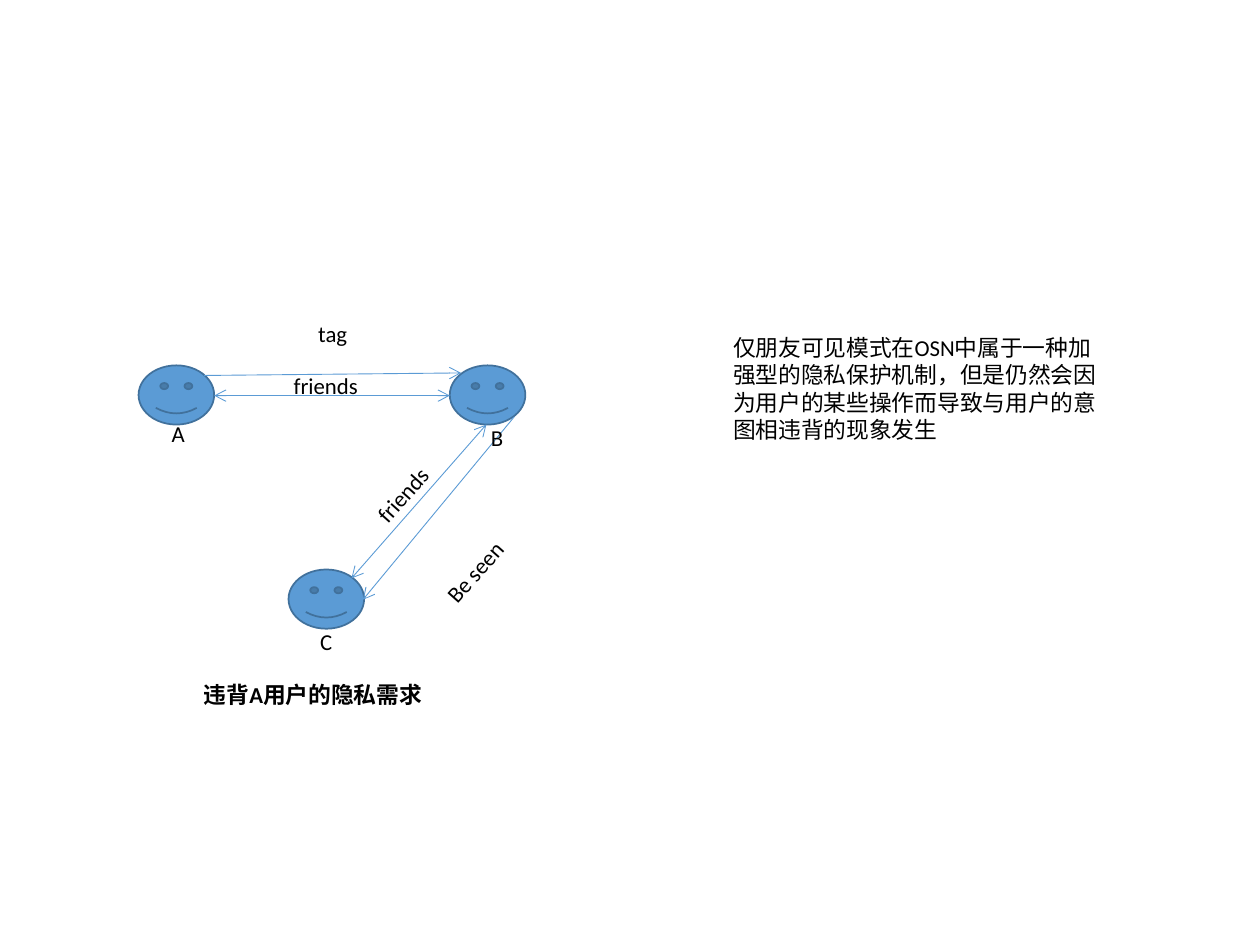
"""Build the slide on how tagging breaks the privacy wish of user A."""
from typing import NamedTuple

import pptx
import pptx.dml.color
import pptx.enum.shapes
import pptx.enum.text
import pptx.oxml.ns
import pptx.util
from lxml import etree
from pptx.util import Inches

BLUE, EDGE, BLACK = "5B9BD5", "41719C", "000000"


class Face(NamedTuple):
    left: float
    top: float


class Link(NamedTuple):
    start: tuple[float, float]
    end: tuple[float, float]
    mutual: bool = False


class Label(NamedTuple):
    text: str
    left: float
    top: float
    width: float
    height: float = 0.32
    turn: float = 0
    center: bool = False
    bold: bool = False


FACES = [Face(1.1, 2.9), Face(3.57, 2.9), Face(2.29, 4.52)]

LINKS = [
    Link((1.7, 3.14), (3.57, 3.14), mutual=True),
    Link((1.62, 2.98), (3.66, 2.96)),
    Link((3.86, 3.37), (2.79, 4.59), mutual=True),
    Link((4.08, 3.31), (2.88, 4.76)),
]

LABELS = [
    Label("friends", 2.16, 2.9, 0.85, center=True),
    Label("friends", 2.8, 3.67, 0.96, turn=311.7),
    Label("tag", 2.13, 2.49, 1.02, center=True),
    Label("A", 1.13, 3.28, 0.57, center=True),
    Label("B", 3.59, 3.31, 0.71, center=True),
    Label("C", 2.16, 4.93, 0.86, center=True),
    Label("Be seen", 3.34, 4.28, 1.03, turn=311.6),
    Label("违背A用户的隐私需求", 1.52, 5.35, 2.35, bold=True),
    Label(
        "仅朋友可见模式在OSN中属于一种加强型的隐私保护机制，"
        "但是仍然会因为用户的某些操作而导致与用户的意图相违背的现象发生",
        5.72, 2.6, 3.21, 0.97,
    ),
]


def color(code: str) -> pptx.dml.color.RGBColor:
    return pptx.dml.color.RGBColor.from_string(code)


def draw_face(shapes, face: Face) -> None:
    shape = shapes.add_shape(
        pptx.enum.shapes.MSO_SHAPE.SMILEY_FACE,
        Inches(face.left), Inches(face.top), Inches(0.6), Inches(0.47),
    )
    shape.shadow.inherit = False
    shape.fill.solid()
    shape.fill.fore_color.rgb = color(BLUE)
    shape.line.color.rgb = color(EDGE)
    shape.line.width = pptx.util.Pt(1)


def draw_link(shapes, link: Link) -> None:
    line = shapes.add_connector(
        pptx.enum.shapes.MSO_CONNECTOR.STRAIGHT,
        *map(Inches, link.start + link.end),
    )
    line.line.color.rgb = color(BLUE)
    line.line.width = pptx.util.Pt(0.5)
    stroke = line.line._get_or_add_ln()
    for end in ("a:headEnd", "a:tailEnd") if link.mutual else ("a:tailEnd",):
        etree.SubElement(stroke, pptx.oxml.ns.qn(end), type="arrow")
    etree.SubElement(line._element.spPr, pptx.oxml.ns.qn("a:effectLst"))


def draw_label(shapes, label: Label) -> None:
    box = shapes.add_textbox(
        Inches(label.left), Inches(label.top),
        Inches(label.width), Inches(label.height),
    )
    box.rotation = label.turn
    frame = box.text_frame
    frame.word_wrap = True
    frame.auto_size = pptx.enum.text.MSO_AUTO_SIZE.SHAPE_TO_FIT_TEXT
    frame.text = label.text
    line = frame.paragraphs[0]
    if label.center:
        line.alignment = pptx.enum.text.PP_ALIGN.CENTER
    line.font.name = "Calibri"
    line.font.size = pptx.util.Pt(13)
    line.font.bold = label.bold
    line.font.color.rgb = color(BLACK)


def main() -> None:
    deck = pptx.Presentation()
    deck.slide_width, deck.slide_height = Inches(10), Inches(7.5)
    shapes = deck.slides.add_slide(deck.slide_layouts[6]).shapes
    for face in FACES:
        draw_face(shapes, face)
    for link in LINKS:
        draw_link(shapes, link)
    for label in LABELS:
        draw_label(shapes, label)
    deck.save("out.pptx")


if __name__ == "__main__":
    main()
